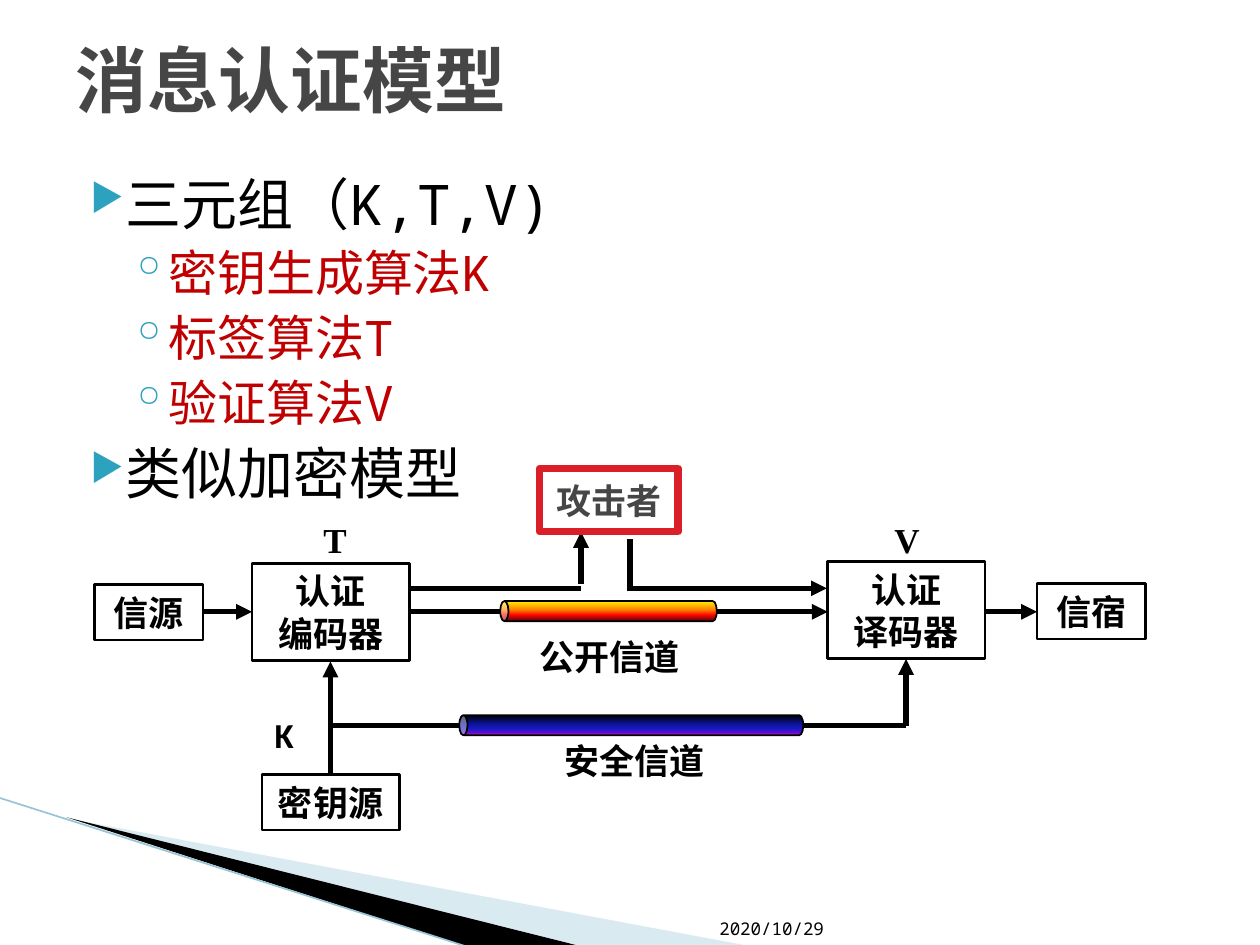
"""Build the message authentication model slide."""
import pptx
import pptx.util
import pptx.dml.color
import pptx.enum.shapes
import pptx.enum.text
import pptx.oxml
import pptx.oxml.ns

Pt = pptx.util.Pt
SHAPE = pptx.enum.shapes.MSO_SHAPE
ALIGN = pptx.enum.text.PP_ALIGN
ANCHOR = pptx.enum.text.MSO_ANCHOR
NS = pptx.oxml.ns.nsdecls("a")
MONO = "Noto Sans Mono"
SERIF = "Times New Roman"


def rgb(value):
    return pptx.dml.color.RGBColor.from_string(value)


def write(paragraph, text, size, font, color="000000", bold=True):
    paragraph.line_spacing = Pt(round(size * 1.21, 1))
    run = paragraph.add_run()
    run.text = text
    run.font.size = Pt(size)
    run.font.name = font
    run.font.bold = bold
    run.font.color.rgb = rgb(color)


deck = pptx.Presentation()
deck.slide_width, deck.slide_height = Pt(720), Pt(540)
slide = deck.slides.add_slide(deck.slide_layouts[6])
shapes = slide.shapes

# name, corners, colour, opacity
for corners, color, opacity in (
    ([(39.6, 468.4), (425, 540), (328, 540)], "A0CBDC", 40),
    ([(38, 467.3), (329, 540), (264, 540)], "000000", 100),
):
    outline = shapes.build_freeform(*corners[0], scale=12700)
    outline.add_line_segments(corners[1:])
    wedge = outline.convert_to_shape()
    wedge.shadow.inherit = False
    wedge.line.fill.background()
    wedge.fill.solid()
    wedge.fill.fore_color.rgb = rgb(color)
    wedge.fill._xPr.solidFill[0].append(
        pptx.oxml.parse_xml(f'<a:alpha {NS} val="{opacity * 1000}"/>'))

body = shapes.add_textbox(Pt(36), Pt(93), Pt(648), Pt(410)).text_frame
body.word_wrap = True
points = (
    (0, "三元组（K,T,V)"),
    (1, "密钥生成算法K"),
    (1, "标签算法T"),
    (1, "验证算法V"),
    (0, "类似加密模型"),
)
levels = (
    (32, "000000", 4, 28.8, -20.16, "▶", 68),
    (28, "C00000", 3.2, 48.96, -18, "◦", 100),
)
for index, (level, text) in enumerate(points):
    size, color, gap, margin, indent, bullet, scale = levels[level]
    point = body.add_paragraph() if index else body.paragraphs[0]
    point.level = level
    properties = point._p.get_or_add_pPr()
    properties.set("marL", str(Pt(margin)))
    properties.set("indent", str(Pt(indent)))
    for element in (
        f'<a:buClr {NS}><a:srgbClr val="2DA2BF"/></a:buClr>',
        f'<a:buSzPct {NS} val="{scale * 1000}"/>',
        f'<a:buChar {NS} char="{bullet}"/>',
    ):
        properties.append(pptx.oxml.parse_xml(element))
    if index:
        point.space_before = Pt(gap)
    write(point, text, size, MONO, color, False)

for text, left, top, width, height, size, color, bold, anchor in (
    ("消息认证模型", 36, 0, 648, 90, 41, "464646", True, ANCHOR.MIDDLE),
    ("2020/10/29", 404, 504.7, 81, 35.3, 10, "000000", False, ANCHOR.BOTTOM),
):
    frame = shapes.add_textbox(Pt(left), Pt(top), Pt(width), Pt(height)).text_frame
    frame.word_wrap = True
    frame.vertical_anchor = anchor
    write(frame.paragraphs[0], text, size, MONO, color, bold)

encoder_x, decoder_x = 188.8, 517.8
channel_y, tapped_y, key_y = 349.6, 336.2, 414.7
for start_x, start_y, end_x, end_y, color, weight, arrow in (
    (-0.7, 455.8, 267, 541, "97C5D8", 0.95, False),
    (116, channel_y, 144, channel_y, "000000", 3, True),
    (encoder_x, 443, encoder_x, 378, "000000", 3, True),
    (encoder_x, key_y, decoder_x, key_y, "000000", 3, False),
    (decoder_x, key_y, decoder_x, 376.6, "000000", 3, True),
    (234, channel_y, 473, channel_y, "000000", 3, True),
    (563, channel_y, 592.6, channel_y, "000000", 3, True),
    (234, tapped_y, 332, tapped_y, "000000", 3, False),
    (332, 334, 332, 304, "000000", 3, True),
    (360, 338, 360, 308, "000000", 3, False),
    (360, tapped_y, 472.5, tapped_y, "000000", 3, True),
):
    link = shapes.add_connector(pptx.enum.shapes.MSO_CONNECTOR.STRAIGHT,
                                Pt(start_x), Pt(start_y), Pt(end_x), Pt(end_y))
    link.line.color.rgb = rgb(color)
    link.line.width = Pt(weight)
    if arrow:
        link.line._get_or_add_ln().append(
            pptx.oxml.parse_xml(f'<a:tailEnd {NS} type="triangle"/>'))
    link._element.spPr.append(pptx.oxml.parse_xml(f"<a:effectLst {NS}/>"))

for lines, left, top, width, height, font, color, border, weight in (
    (["信源"], 54, 334, 62, 31.7, MONO, "000000", "000000", 1.5),
    (["密钥源"], 149.6, 442.6, 78.6, 31.7, MONO, "000000", "000000", 1.5),
    (["认证", "编码器"], 144, 322, 90, 55.5, MONO, "000000", "000000", 1.5),
    (["认证", "译码器"], 473, 321, 90, 55.5, MONO, "000000", "000000", 1.5),
    (["信宿"], 592.6, 333.4, 62, 31.7, MONO, "000000", "000000", 1.5),
    (["攻击者"], 308.3, 267.8, 79.2, 36, SERIF, "464646", "DA1F28", 4.33),
):
    party = shapes.add_shape(SHAPE.RECTANGLE, Pt(left), Pt(top), Pt(width), Pt(height))
    party.shadow.inherit = False
    party.fill.solid()
    party.fill.fore_color.rgb = rgb("FFFFFF")
    party.line.color.rgb = rgb(border)
    party.line.width = Pt(weight)
    frame = party.text_frame
    frame.word_wrap = False
    frame.vertical_anchor = ANCHOR.MIDDLE
    for index, text in enumerate(lines):
        paragraph = frame.add_paragraph() if index else frame.paragraphs[0]
        paragraph.alignment = ALIGN.CENTER
        write(paragraph, text, 20, font, color)

for left, top, length, stops in (
    (355, 316.1, 196.6, ((0, "000000"), (40, "0A128C"), (70, "181CC7"),
                         (88, "7005D4"), (100, "8C3D91"))),
    (342, 287.3, 123.8, ((0, "FFF200"), (45, "FF7A00"), (70, "FF0300"),
                         (100, "4D0808"))),
):
    channel = shapes.add_shape(SHAPE.CAN, Pt(left), Pt(top), Pt(11.5), Pt(length))
    channel.rotation = 270
    channel.adjustments[0] = 0.41
    channel.shadow.inherit = False
    channel.line.color.rgb = rgb("000000")
    channel.line.width = Pt(1)
    colors = "".join(f'<a:gs pos="{place * 1000}"><a:srgbClr val="{color}"/></a:gs>'
                     for place, color in stops)
    channel._element.spPr.prstGeom.addnext(pptx.oxml.parse_xml(
        f'<a:gradFill {NS} rotWithShape="1"><a:gsLst>{colors}</a:gsLst>'
        '<a:lin ang="10800000" scaled="1"/></a:gradFill>'))

for text, left, top, width, font in (
    ("K", 149.8, 403.9, 26, "Calibri"),
    ("公开信道", 301, 359.3, 95, "Calibri"),
    ("安全信道", 315.4, 419, 95.8, "Calibri"),
    ("T", 177.8, 292.3, 28, SERIF),
    ("V", 504, 292.3, 31, SERIF),
):
    frame = shapes.add_textbox(Pt(left), Pt(top), Pt(width), Pt(31.7)).text_frame
    frame.word_wrap = False
    write(frame.paragraphs[0], text, 20, font)

deck.save("out.pptx")
